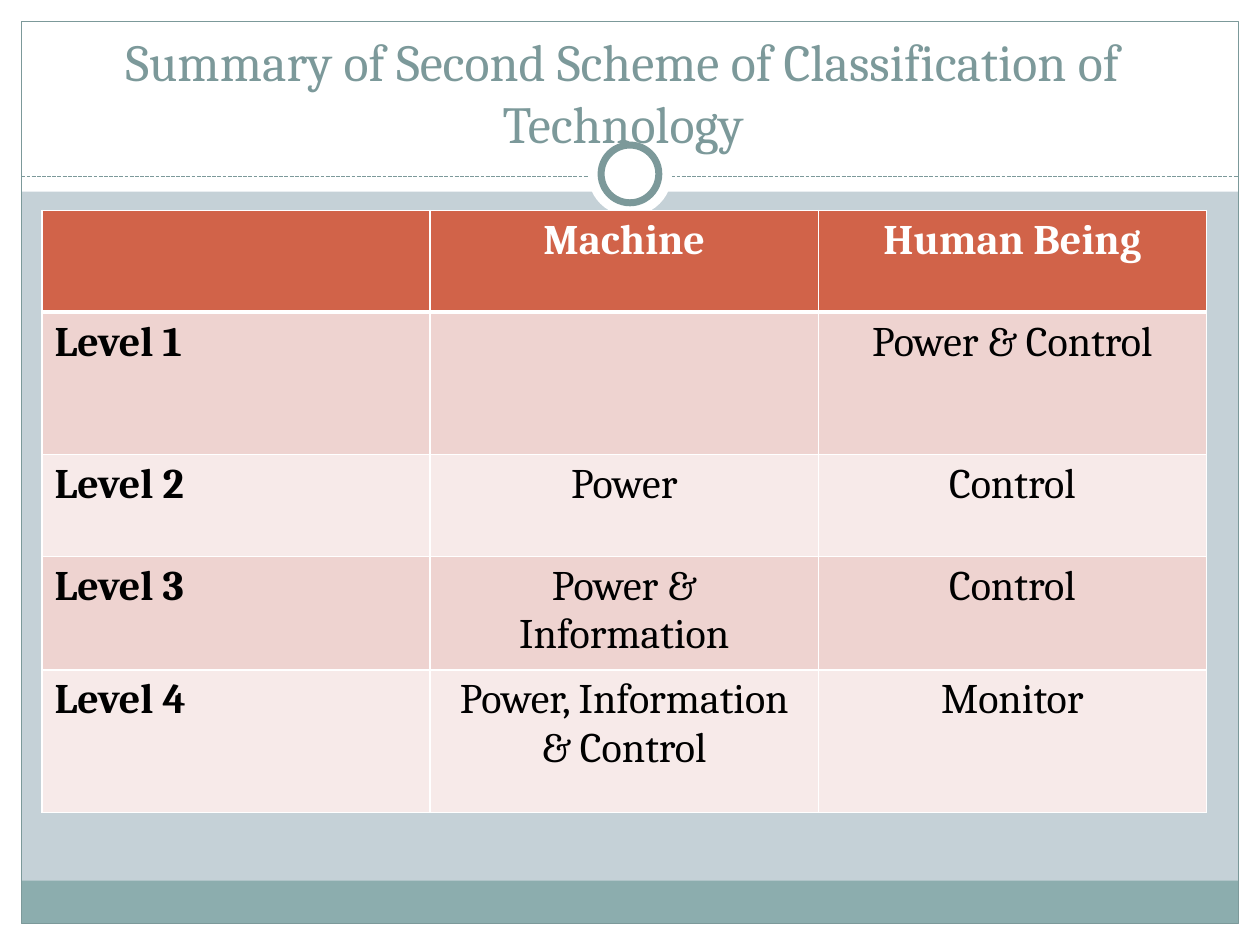
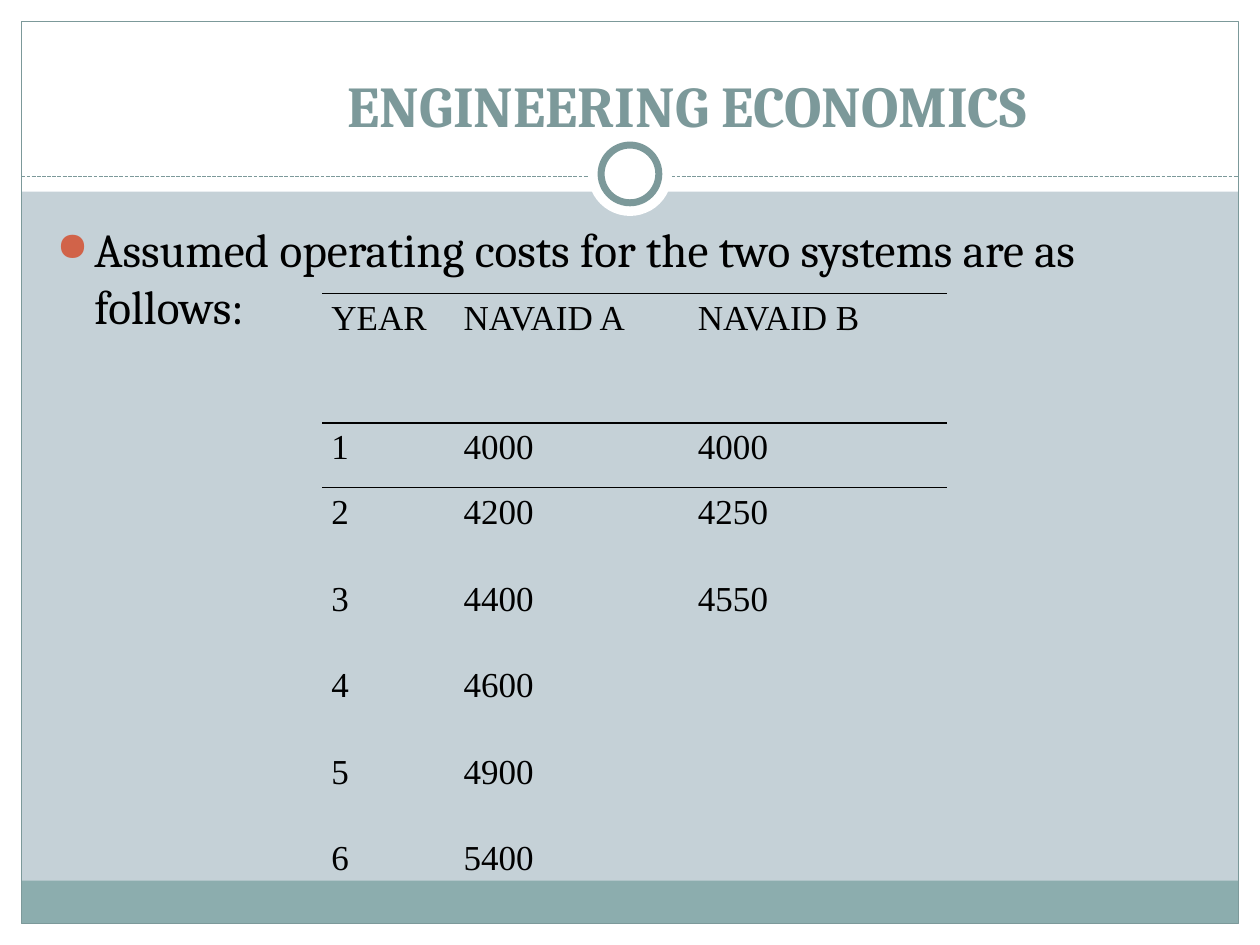
"""Build two slides on technology levels and engineering economics."""
from lxml import etree
from pptx import Presentation
from pptx.dml.color import RGBColor
from pptx.enum.dml import MSO_LINE
from pptx.enum.shapes import MSO_CONNECTOR, MSO_SHAPE
from pptx.enum.text import MSO_ANCHOR, PP_ALIGN
from pptx.oxml.ns import qn
from pptx.util import Pt

RECT, OVAL = MSO_SHAPE.RECTANGLE, MSO_SHAPE.OVAL
STRAIGHT = MSO_CONNECTOR.STRAIGHT
DASH = MSO_LINE.SQUARE_DOT
LEFT, CENTER = PP_ALIGN.LEFT, PP_ALIGN.CENTER
TOP, BOTTOM = MSO_ANCHOR.TOP, MSO_ANCHOR.BOTTOM

WHITE = RGBColor(0xFF, 0xFF, 0xFF)
BLACK = RGBColor(0x00, 0x00, 0x00)
MIST = RGBColor(0xC5, 0xD1, 0xD7)
TEAL = RGBColor(0x8C, 0xAD, 0xAE)
SLATE = RGBColor(0x7C, 0x99, 0x9A)
RUST = RGBColor(0xD1, 0x63, 0x49)
PINK = RGBColor(0xEE, 0xD3, 0xD0)
PALE_PINK = RGBColor(0xF7, 0xEA, 0xE9)

HEAD_FONT, TABLE_FONT = "Cambria", "Times New Roman"
W, H = 720, 540
MARGIN = 12.24
BAND_H = 24.5
RULE_Y = 100.8
NO_STYLE = "{2D5ABB26-0587-4C30-8999-92F81FD0307C}"

LEVELS = [
    ("", "Machine", "Human Being"),
    ("Level 1", "", "Power & Control"),
    ("Level 2", "Power", "Control"),
    ("Level 3", "Power & Information", "Control"),
    ("Level 4", "Power, Information & Control", "Monitor"),
]
COSTS = [
    ("YEAR", "NAVAID A", "NAVAID B"),
    ("1", "4000", "4000"),
    ("2", "4200", "4250"),
    ("3", "4400", "4550"),
    ("4", "4600", ""),
    ("5", "4900", ""),
    ("6", "5400", ""),
]


def add_block(s, kind, box, fill=None, line=None, width=0.75):
    """Add a preset shape with an optional fill and outline."""
    sp = s.shapes.add_shape(kind, *map(Pt, box))
    sp.shadow.inherit = False
    if fill is None:
        sp.fill.background()
    else:
        sp.fill.solid()
        sp.fill.fore_color.rgb = fill
    if line is None:
        sp.line.fill.background()
    else:
        sp.line.color.rgb = line
        sp.line.width = Pt(width)


def add_ring(s, diameter, line=None):
    """Add a white disc centred on the title rule."""
    box = ((W - diameter) / 2, RULE_Y - 1.4 - diameter / 2, diameter, diameter)
    add_block(s, OVAL, box, WHITE, line, 4)


def add_rule(s):
    """Add the dashed rule below the title."""
    cxn = s.shapes.add_connector(
        STRAIGHT, Pt(MARGIN), Pt(RULE_Y), Pt(W - MARGIN), Pt(RULE_Y))
    cxn.line.color.rgb = SLATE
    cxn.line.width = Pt(0.75)
    cxn.line.dash_style = DASH
    etree.SubElement(cxn._element.spPr, qn("a:effectLst"))


def add_frame(prs):
    """Add a slide with the shared background, bands and ring."""
    s = prs.slides.add_slide(prs.slide_layouts[6])
    s.background.fill.solid()
    s.background.fill.fore_color.rgb = MIST
    inner_w, inner_h = W - 2 * MARGIN, H - 2 * MARGIN
    for box in ((0, H - MARGIN, W, MARGIN), (0, 0, W, 109.5),
                (0, 0, MARGIN, H), (W - MARGIN, 0, MARGIN, H)):
        add_block(s, RECT, box, WHITE)
    add_block(s, RECT, (MARGIN, H - MARGIN - BAND_H, inner_w, BAND_H), TEAL)
    add_block(s, RECT, (MARGIN, MARGIN, inner_w, inner_h), line=SLATE)
    add_rule(s)
    add_ring(s, 48)
    add_ring(s, 33, SLATE)
    return s


def add_run(p, text, size, color, bold=False, font=HEAD_FONT):
    """Add one formatted run to a paragraph."""
    r = p.add_run()
    r.text = text
    r.font.name = font
    r.font.size = Pt(size)
    r.font.bold = bold
    r.font.color.rgb = color


def add_text_box(s, box, anchor):
    """Add a wrapping text box and return its first paragraph."""
    tf = s.shapes.add_textbox(*map(Pt, box)).text_frame
    tf.word_wrap = True
    tf.vertical_anchor = anchor
    return tf.paragraphs[0]


def add_title(s, text, box, size, bold=False):
    """Add a centred title resting on the bottom of its box."""
    p = add_text_box(s, box, BOTTOM)
    p.alignment = CENTER
    add_run(p, text, size, SLATE, bold)


def add_bullet(s, text, box):
    """Add a body box with one bulleted paragraph."""
    p = add_text_box(s, box, TOP)
    pPr = p._p.get_or_add_pPr()
    pPr.set("marL", str(Pt(21.6)))
    pPr.set("indent", str(-Pt(21.6)))
    clr = etree.SubElement(pPr, qn("a:buClr"))
    etree.SubElement(clr, qn("a:srgbClr"), val=str(RUST))
    etree.SubElement(pPr, qn("a:buSzPct"), val="85000")
    etree.SubElement(pPr, qn("a:buChar"), char="●")
    add_run(p, text, 27, BLACK)


def add_grid(s, left, top, widths, heights):
    """Add an unstyled table with the given column and row sizes."""
    frame = s.shapes.add_table(
        len(heights), len(widths), Pt(left), Pt(top),
        Pt(sum(widths)), Pt(sum(heights)))
    for style in frame._element.iter(qn("a:tableStyleId")):
        style.text = NO_STYLE
    table = frame.table
    table.first_row = table.horz_banding = False
    for col, width in zip(table.columns, widths):
        col.width = Pt(width)
    for row, height in zip(table.rows, heights):
        row.height = Pt(height)
    return table


def set_border(cell, sides, color, widths):
    """Draw the borders of a cell, given in the order L, R, T, B."""
    tcPr = cell._tc.get_or_add_tcPr()
    for side, width in zip(sides, widths):
        ln = etree.SubElement(tcPr, qn(f"a:ln{side}"), w=str(Pt(width)))
        fill = etree.SubElement(ln, qn("a:solidFill"))
        etree.SubElement(fill, qn("a:srgbClr"), val=str(color))


def add_level_table(s):
    """Add the banded table of technology levels."""
    table = add_grid(s, 24, 120.2, [221.8] * 3, [58.2, 81.4, 58.2, 58.2, 81.4])
    for i, row in enumerate(LEVELS):
        fill = RUST if i == 0 else (PALE_PINK, PINK)[i % 2]
        for j, text in enumerate(row):
            cell = table.cell(i, j)
            set_border(cell, "LRTB", WHITE,
                       (1, 1, 3 if i == 1 else 1, 3 if i == 0 else 1))
            cell.fill.solid()
            cell.fill.fore_color.rgb = fill
            p = cell.text_frame.paragraphs[0]
            p.alignment = LEFT if j == 0 else CENTER
            if text:
                add_run(p, text, 24, BLACK if i else WHITE, i == 0 or j == 0)


def add_cost_table(s):
    """Add the plain table of yearly costs with a ruled header."""
    table = add_grid(s, 184.2, 167.8, [75.6, 133.9, 147.6],
                     [73.8, 36.9] + [49.5] * 5)
    for i, row in enumerate(COSTS):
        for j, text in enumerate(row):
            cell = table.cell(i, j)
            cell.margin_left = cell.margin_right = Pt(5.2)
            cell.margin_top = cell.margin_bottom = 0
            if i == 0:
                set_border(cell, "TB", BLACK, (1, 1))
            elif i == 1:
                set_border(cell, "T", BLACK, (1,))
            cell.fill.background()
            p = cell.text_frame.paragraphs[0]
            p.line_spacing = 1.15
            if text:
                add_run(p, text, 20, BLACK, font=TABLE_FONT)


def main():
    """Build both slides and save the deck."""
    prs = Presentation()
    prs.slide_width, prs.slide_height = Pt(W), Pt(H)

    s = add_frame(prs)
    add_title(s, "Summary of Second Scheme of Classification of Technology",
              (20.2, 31.7, 671.8, 59.8), 29.7)
    add_level_table(s)

    s = add_frame(prs)
    add_title(s, "ENGINEERING ECONOMICS", (82, 0, 621.4, 82.8), 33, True)
    add_bullet(s, "Assumed operating costs for the two systems are as follows:",
               (25.2, 122.4, 678.2, 396.7))
    add_cost_table(s)

    prs.save("out.pptx")


if __name__ == "__main__":
    main()
